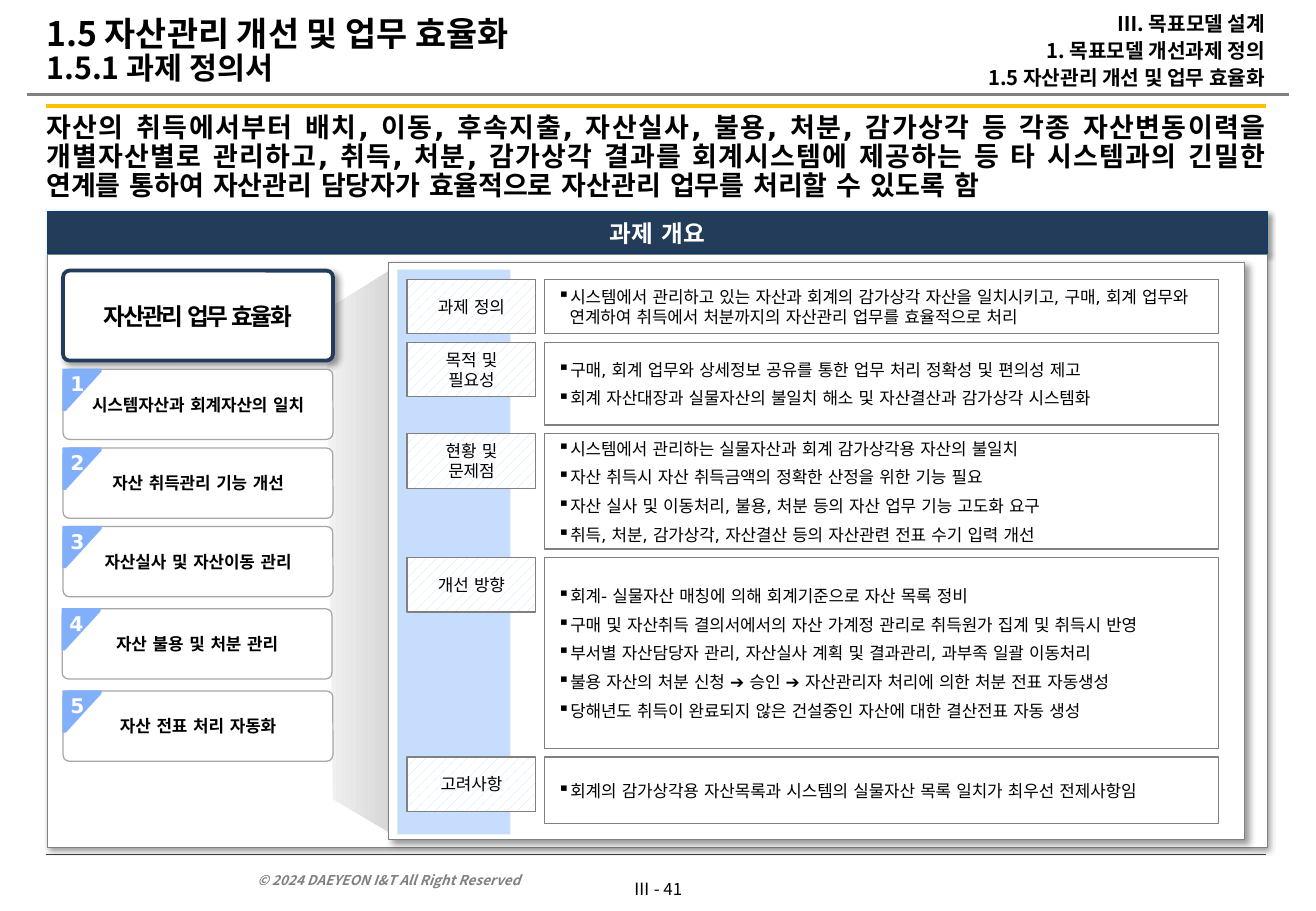
from lxml import etree
from pptx import Presentation
from pptx.dml.color import RGBColor
from pptx.enum.dml import MSO_PATTERN
from pptx.enum.shapes import MSO_CONNECTOR, MSO_SHAPE
from pptx.enum.text import MSO_ANCHOR, PP_ALIGN
from pptx.oxml import parse_xml
from pptx.oxml.ns import qn
from pptx.util import Cm, Pt

# Content (lengths in cm)
TITLE = [("1.5 자산관리 개선 및 업무 효율화", 20), ("1.5.1 과제 정의서", 18)]
BREADCRUMB = ["Ⅲ. 목표모델 설계", "1. 목표모델 개선과제 정의", "1.5 자산관리 개선 및 업무 효율화"]
SUMMARY = ("자산의 취득에서부터 배치, 이동, 후속지출, 자산실사, 불용, 처분, 감가상각 등 각종 자산변동이력을 "
           "개별자산별로 관리하고, 취득, 처분, 감가상각 결과를 회계시스템에 제공하는 등 타 시스템과의 긴밀한 "
           "연계를 통하여 자산관리 담당자가 효율적으로 자산관리 업무를 처리할 수 있도록 함")
BANNER = "과제 개요"
GOAL = "자산관리 업무 효율화"
TASKS = [  # left, top, text
    (1.32, 7.72, "시스템자산과 회계자산의 일치"),
    (1.32, 9.37, "자산 취득관리 기능 개선"),
    (1.32, 11.01, "자산실사 및 자산이동 관리"),
    (1.3, 12.73, "자산 불용 및 처분 관리"),
    (1.32, 14.45, "자산 전표 처리 자동화"),
]
SECTIONS = [  # heading, height, points
    ("과제 정의", 1.14, [
        "시스템에서 관리하고 있는 자산과 회계의 감가상각 자산을 일치시키고, 구매, 회계 업무와 "
        "연계하여 취득에서 처분까지의 자산관리 업무를 효율적으로 처리"]),
    ("목적 및 필요성", 1.73, [
        "구매, 회계 업무와 상세정보 공유를 통한 업무 처리 정확성 및 편의성 제고",
        "회계 자산대장과 실물자산의 불일치 해소 및 자산결산과 감가상각 시스템화"]),
    ("현황 및 문제점", 2.41, [
        "시스템에서 관리하는 실물자산과 회계 감가상각용 자산의 불일치",
        "자산 취득시 자산 취득금액의 정확한 산정을 위한 기능 필요",
        "자산 실사 및 이동처리, 불용, 처분 등의 자산 업무 기능 고도화 요구",
        "취득, 처분, 감가상각, 자산결산 등의 자산관련 전표 수기 입력 개선"]),
    ("개선 방향", 3.99, [
        "회계- 실물자산 매칭에 의해 회계기준으로 자산 목록 정비",
        "구매 및 자산취득 결의서에서의 자산 가계정 관리로 취득원가 집계 및 취득시 반영",
        "부서별 자산담당자 관리, 자산실사 계획 및 결과관리, 과부족 일괄 이동처리",
        "불용 자산의 처분 신청 ➔ 승인 ➔ 자산관리자 처리에 의한 처분 전표 자동생성",
        "당해년도 취득이 완료되지 않은 건설중인 자산에 대한 결산전표 자동 생성"]),
    ("고려사항", 1.4, [
        "회계의 감가상각용 자산목록과 시스템의 실물자산 목록 일치가 최우선 전제사항임"]),
]
COPYRIGHT = "© 2024 DAEYEON I&T All Right Reserved"
PAGE = "Ⅲ - 41"
RULES = [  # left, right, y, colour, points
    (0.56, 26.95, 1.98, "808080", 1.5),
    (0.97, 26.47, 2.21, "FFC000", 2.5),
    (0.97, 26.47, 17.86, "404040", 0.5),
]
SANS, NOTO = "DejaVu Sans", "Noto Sans CJK KR"
NAVY, SKY, PALE, GREY = "233C5A", "82AFFA", "C7DDFD", "808080"
NS = "http://schemas.openxmlformats.org/drawingml/2006/main"

prs = Presentation()
prs.slide_width, prs.slide_height = Cm(27.51), Cm(19.05)
slide = prs.slides.add_slide(prs.slide_layouts[6])
shapes = slide.shapes


def color(hex_text):
    return RGBColor.from_string(hex_text)


def write(part, lines, size=10, font=SANS, ink="000000", bold=False, italic=False,
          align=PP_ALIGN.CENTER, anchor=MSO_ANCHOR.MIDDLE, inset=(0.28, 0.13, 0.28, 0.13),
          before=0, leading=None, tracking=None, bullet=None, wrap=True):
    """Fill a part with paragraphs; a line is a text or a (text, size) pair."""
    frame = part.text_frame
    frame.word_wrap = wrap
    frame.vertical_anchor = anchor
    (frame.margin_left, frame.margin_top,
     frame.margin_right, frame.margin_bottom) = map(Cm, inset)
    for i, line in enumerate(lines):
        text, points = line if isinstance(line, tuple) else (line, size)
        para = frame.paragraphs[0] if i == 0 else frame.add_paragraph()
        para.alignment = align
        if leading:
            para.line_spacing = leading
        para.space_before = Pt(before if i else 0)
        if bullet:
            props = para._p.get_or_add_pPr()
            props.set("marL", str(Cm(0.25)))
            props.set("indent", str(-Cm(0.25)))
            etree.SubElement(props, qn("a:buChar")).set("char", bullet)
        run = para.add_run()
        run.text = text
        run.font.size, run.font.name = Pt(points), font
        run.font.bold, run.font.italic = bold, italic
        run.font.color.rgb = color(ink)
        props = run._r.get_or_add_rPr()
        etree.SubElement(props, qn("a:ea")).set("typeface", font)
        if tracking:
            props.set("spc", str(tracking))


def textbox(box, lines, **style):
    write(shapes.add_textbox(*map(Cm, box)), lines, **style)


def paint(part, fill=None, line=None, width=0.75):
    part.shadow.inherit = False
    if fill:
        part.fill.solid()
        part.fill.fore_color.rgb = color(fill)
    if line:
        part.line.color.rgb = color(line)
        part.line.width = Pt(width)
    else:
        part.line.fill.background()
    return part


def block(box, fill, line=None, width=0.75, radius=None):
    kind = MSO_SHAPE.ROUNDED_RECTANGLE if radius else MSO_SHAPE.RECTANGLE
    part = shapes.add_shape(kind, *map(Cm, box))
    if radius:
        part.adjustments[0] = radius
    return paint(part, fill, line, width)


def cast_shadow(part, blur, distance):
    part._element.spPr.find(qn("a:effectLst")).append(parse_xml(
        f'<a:outerShdw xmlns:a="{NS}" blurRad="{Pt(blur)}" dist="{Pt(distance)}" '
        'dir="2700000" algn="tl" rotWithShape="0"><a:srgbClr val="000000">'
        '<a:alpha val="40000"/></a:srgbClr></a:outerShdw>'))


def outline(points):
    points = [(Cm(x), Cm(y)) for x, y in points]
    builder = shapes.build_freeform(*points[0])
    builder.add_line_segments(points[1:], close=True)
    return builder.convert_to_shape()


# Rules and footer
for left, right, y, ink, width in RULES:
    rule = shapes.add_connector(MSO_CONNECTOR.STRAIGHT, Cm(left), Cm(y), Cm(right), Cm(y))
    rule.line.color.rgb = color(ink)
    rule.line.width = Pt(width)
    etree.SubElement(rule._element.spPr, qn("a:effectLst"))
textbox((13, 18.24, 1.5, 0.69), [PAGE], font=NOTO, anchor=MSO_ANCHOR.TOP,
        inset=(0.15, 0.13, 0.15, 0.13), wrap=False)
textbox((5.13, 18.01, 7.67, 0.69), [COPYRIGHT], size=8, font=NOTO, ink=GREY, bold=True,
        italic=True, align=PP_ALIGN.LEFT, anchor=MSO_ANCHOR.BOTTOM, inset=(0.25, 0.13, 0.25, 0.13))

# Heading
textbox((0.97, 2.39, 25.5, 1.73), [SUMMARY], size=16, bold=True, align=PP_ALIGN.JUSTIFY,
        anchor=MSO_ANCHOR.TOP, inset=(0, 0, 0, 0), leading=0.9)
textbox((0.97, 0, 20.8, 2.16), TITLE, font=NOTO, bold=True, align=PP_ALIGN.LEFT,
        inset=(0, 0, 0, 0), leading=0.9)
textbox((17.45, 0, 9, 2.18), BREADCRUMB, size=12, font=NOTO, bold=True, align=PP_ALIGN.RIGHT,
        inset=(0, 0.13, 0, 0.13), leading=0.9, before=2.9)

# Overview frame
banner = block((0.99, 4.42, 25.5, 0.89), NAVY, "00437A", 0.5)
write(banner, [BANNER], size=14, ink="FFFFFF", bold=True)
frame_body = block((0.99, 5.33, 25.5, 12.4), "FFFFFF", GREY, 0.5)
for part in (banner, frame_body):
    cast_shadow(part, 3, 2)

# Funnel from the goal to the detail panel
funnel = paint(outline([(6.83, 6.48), (6.96, 16.71), (8.31, 17.5), (8.31, 5.56)]))
funnel.fill.gradient()
funnel.fill.gradient_angle = 0
for stop, (position, tone) in zip(funnel.fill.gradient_stops, [(0, "F2F2F2"), (0.82, "D9D9D9")]):
    stop.position = position
    stop.color.rgb = color(tone)

# Goal and numbered tasks
goal = block((1.32, 5.66, 5.64, 1.88), "FFFFFF", NAVY, 2.25, radius=0.07)
cast_shadow(goal, 4, 3)
write(goal, [GOAL], size=14, bold=True, leading=1.05, tracking=-150, inset=(0.2, 0.1, 0.2, 0.1))
for number, (x, y, task) in enumerate(TASKS, 1):
    write(block((x, y, 5.64, 1.47), "FFFFFF", "A6A6A6", radius=0.09), [task], bold=True)
    corner = outline([(x, y), (x + 0.79, y), (x + 0.79, y + 0.05), (x + 0.05, y + 0.86), (x, y + 0.86)])
    write(paint(corner, SKY, SKY), [str(number)], size=12, ink="FFFFFF", bold=True,
          align=PP_ALIGN.LEFT, anchor=MSO_ANCHOR.TOP, inset=(0.15, 0.05, 0.05, 0.13))

# Detail panel
cast_shadow(block((8.13, 5.49, 17.88, 12.06), "FFFFFF", GREY), 4, 3)
block((8.31, 5.64, 2.36, 11.81), PALE)
top, gap = 5.84, 0.18
for heading, height, points in SECTIONS:
    label = block((8.51, top, 2.69, 1.14), None, GREY)
    label.fill.patterned()
    label.fill.pattern = MSO_PATTERN.PERCENT_20
    label.fill.fore_color.rgb = color(PALE)
    label.fill.back_color.rgb = color("FFFFFF")
    write(label, [heading])
    write(block((11.38, top, 14.1, height), "FFFFFF", GREY), points,
          align=PP_ALIGN.LEFT, before=5, bullet="▪")
    top += height + gap

prs.save("out.pptx")
